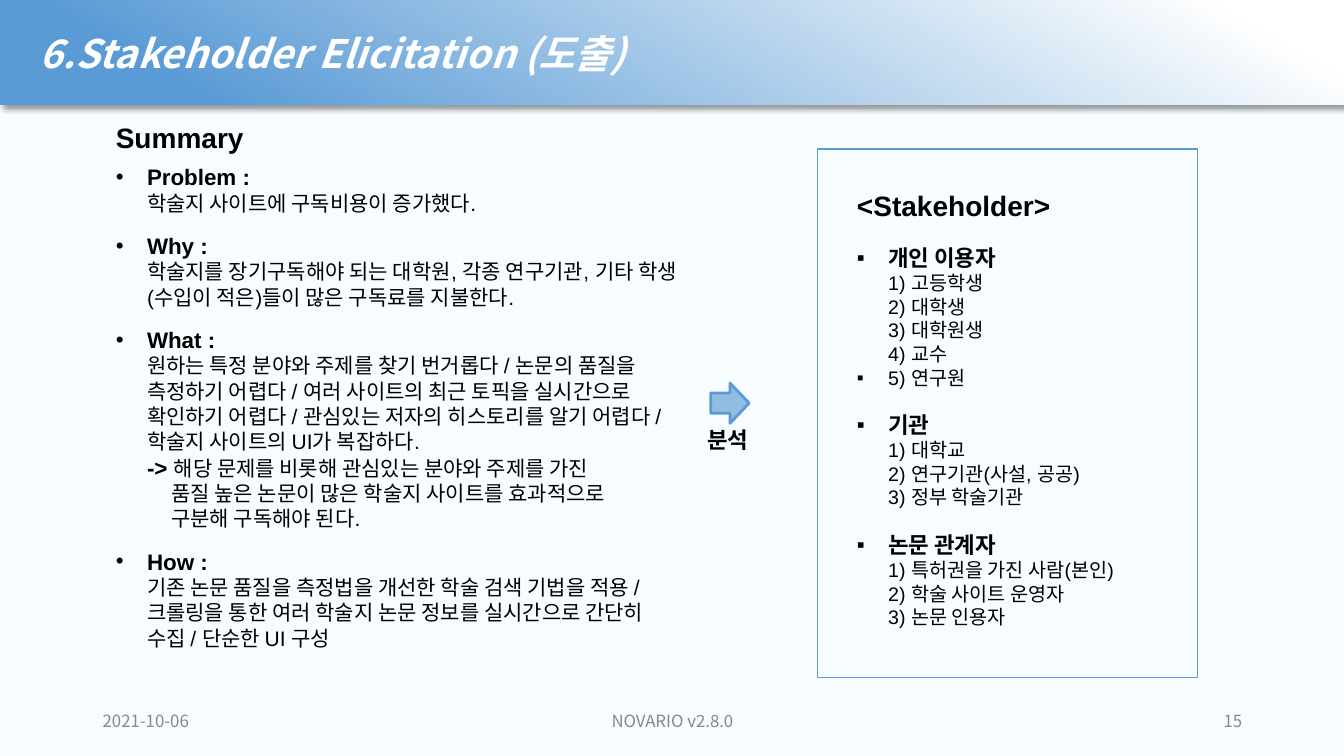
from lxml import etree
from pptx import Presentation
from pptx import util as u
from pptx.dml.color import RGBColor
from pptx.enum import shapes, text
from pptx.oxml import ns

WHITE = RGBColor(0xFF, 0xFF, 0xFF)
BLACK = RGBColor(0, 0, 0)
PALE = RGBColor(0xF7, 0xFC, 0xFF)
BLUE = RGBColor(0x5A, 0x9B, 0xD5)
LIGHT_BLUE = RGBColor(0x92, 0xBD, 0xE3)
GRAY = RGBColor(0x88, 0x88, 0x88)

SANS = "Arial"
KOREAN = "Noto Sans CJK KR"
LEFT, CENTER, RIGHT = text.PP_ALIGN.LEFT, text.PP_ALIGN.CENTER, text.PP_ALIGN.RIGHT
TOP, MIDDLE = text.MSO_ANCHOR.TOP, text.MSO_ANCHOR.MIDDLE
HANG = 31
ARROW_HANG = 24

SUMMARY = [
    ("Problem :", ["학술지 사이트에 구독비용이 증가했다."]),
    ("Why :", ["학술지를 장기구독해야 되는 대학원, 각종 연구기관, 기타 학생(수입이 적은)들이 "
               "많은 구독료를 지불한다."]),
    ("What :", ["원하는 특정 분야와 주제를 찾기 번거롭다 / 논문의 품질을 측정하기 어렵다 / "
                "여러 사이트의 최근 토픽을 실시간으로 확인하기 어렵다 / 관심있는 저자의 "
                "히스토리를 알기 어렵다 / 학술지 사이트의 UI가 복잡하다."]),
    ("How :", ["기존 논문 품질을 측정법을 개선한 학술 검색 기법을 적용 / 크롤링을 통한 여러 "
               "학술지 논문 정보를 실시간으로 간단히 수집 / 단순한 UI 구성"]),
]
CONCLUSION = ["해당 문제를 비롯해 관심있는 분야와 주제를 가진",
              "품질 높은 논문이 많은 학술지 사이트를 효과적으로",
              "구분해 구독해야 된다."]
STAKEHOLDERS = [
    ("개인 이용자", ["1) 고등학생", "2) 대학생", "3) 대학원생", "4) 교수"]),
    ("기관", ["1) 대학교", "2) 연구기관(사설, 공공)", "3) 정부 학술기관"]),
    ("논문 관계자", ["1) 특허권을 가진 사람(본인)", "2) 학술 사이트 운영자", "3) 논문 인용자"]),
]
LAST_USER = "5) 연구원"


def px(length):
    return u.Emu(length * 9144)


class StakeholderSlide:
    def __init__(self, deck):
        self.slide = deck.slides.add_slide(deck.slide_layouts[6])
        self.slide.background.fill.solid()
        self.slide.background.fill.fore_color.rgb = PALE

    def shape(self, kind, box, fill=None, line=None, weight=1):
        item = self.slide.shapes.add_shape(kind, *map(px, box))
        item.shadow.inherit = False
        if fill is None:
            item.fill.background()
        else:
            item.fill.solid()
            item.fill.fore_color.rgb = fill
        if line is None:
            item.line.fill.background()
        else:
            item.line.color.rgb = line
            item.line.width = u.Pt(weight)
        return item

    def banner(self, box):
        """Rectangle fading from white at top right to blue, with a soft shadow."""
        band = self.shape(shapes.MSO_SHAPE.RECTANGLE, box)
        band.fill.gradient()
        band.fill.gradient_angle = 240
        for stop, position, color in zip(band.fill.gradient_stops, (0.08, 0.86), (WHITE, BLUE)):
            stop.position = position
            stop.color.rgb = color
        effects = band._element.spPr.find(ns.qn("a:effectLst"))
        shadow = etree.SubElement(effects, ns.qn("a:outerShdw"), blurRad=str(u.Pt(4)),
                                  dist=str(u.Pt(3)), dir="2700000", algn="tl")
        color = etree.SubElement(shadow, ns.qn("a:srgbClr"), val="000000")
        etree.SubElement(color, ns.qn("a:alpha"), val="40000")
        return band

    def frame(self, item, anchor=TOP, insets=(10, 5, 10, 5)):
        left, top, right, bottom = map(px, insets)
        layout = {"word_wrap": True, "vertical_anchor": anchor, "margin_left": left,
                  "margin_top": top, "margin_right": right, "margin_bottom": bottom}
        for name, value in layout.items():
            setattr(item.text_frame, name, value)
        return item.text_frame

    def text_box(self, box, anchor=TOP):
        return self.frame(self.slide.shapes.add_textbox(*map(px, box)), anchor)

    def paragraph(self, frame, align=LEFT, bullet=None, left=0, hang=0, gap=0):
        first = frame.paragraphs[0]
        para = first if not first.runs else frame.add_paragraph()
        for name, value in {"alignment": align, "space_before": u.Pt(gap)}.items():
            setattr(para, name, value)
        props = para._p.get_or_add_pPr()
        props.set("marL", str(px(left)))
        props.set("indent", str(-px(hang)))
        if bullet:
            color = etree.SubElement(props, ns.qn("a:buClr"))
            etree.SubElement(color, ns.qn("a:srgbClr"), val=str(BLACK))
            etree.SubElement(props, ns.qn("a:buFont"), typeface=SANS)
            etree.SubElement(props, ns.qn("a:buChar"), char=bullet)
        return para

    def add_lines(self, para, lines, size, bold=False, color=BLACK, font=SANS, italic=False):
        """Append the lines to the paragraph, with line breaks between them."""
        style = {"size": u.Pt(size), "bold": bold, "italic": italic, "name": font}
        for number, line in enumerate(lines):
            if number:
                para.add_line_break()
            run = para.add_run()
            run.text = line
            for name, value in style.items():
                setattr(run.font, name, value)
            run.font.color.rgb = color
            latin = run.font._element.find(ns.qn("a:latin"))
            latin.addnext(latin.makeelement(ns.qn("a:ea"), {"typeface": KOREAN}))

    def topic(self, frame, heading, lines, bullet, size, gap):
        para = self.paragraph(frame, bullet=bullet, left=HANG, hang=HANG, gap=gap)
        self.add_lines(para, [heading], 16, bold=True)
        para.add_line_break()
        self.add_lines(para, lines, size)

    def label(self, box, words, size, align=LEFT):
        para = self.paragraph(self.text_box(box), align)
        self.add_lines(para, [words], size, bold=True)

    def footer(self, box, words, align):
        para = self.paragraph(self.text_box(box, MIDDLE), align)
        self.add_lines(para, [words], 12, color=GRAY, font=KOREAN)


def main():
    deck = Presentation()
    deck.slide_width, deck.slide_height = px(1333), px(750)
    page = StakeholderSlide(deck)

    title = page.frame(page.banner((0, 0, 1333, 104)), MIDDLE, (39, 5, 10, 5))
    page.add_lines(page.paragraph(title), ["6.Stakeholder Elicitation (도출)"], 28,
                   bold=True, color=WHITE, font=KOREAN, italic=True)

    page.footer((92, 695, 300, 40), "2021-10-06", LEFT)
    page.footer((442, 695, 450, 40), "NOVARIO v2.8.0", CENTER)
    page.footer((942, 695, 300, 40), "15", RIGHT)

    page.label((105, 115, 251, 44), "Summary", 20)
    summary = page.text_box((105, 157, 578, 523))
    for number, (heading, lines) in enumerate(SUMMARY):
        page.topic(summary, heading, lines, "•", 15, 12 if number else 0)
        if heading == "What :":
            conclusion = page.paragraph(summary, left=HANG + ARROW_HANG, hang=ARROW_HANG)
            page.add_lines(conclusion, ["-> "], 16, bold=True)
            page.add_lines(conclusion, CONCLUSION, 15)

    panel = page.shape(shapes.MSO_SHAPE.RECTANGLE, (811, 148, 377, 524), line=BLUE)
    stakeholders = page.frame(panel, insets=(39, 39, 39, 39))
    page.add_lines(page.paragraph(stakeholders), ["<Stakeholder>"], 20, bold=True)
    for number, (group, members) in enumerate(STAKEHOLDERS):
        page.topic(stakeholders, group, members, "▪", 14, 16)
        if number == 0:
            last_user = page.paragraph(stakeholders, bullet="▪", left=HANG, hang=HANG)
            page.add_lines(last_user, [LAST_USER], 14)

    page.shape(shapes.MSO_SHAPE.RIGHT_ARROW, (705, 380, 38, 40), LIGHT_BLUE, BLUE, 2)
    page.label((686, 418, 72, 37), "분석", 16, CENTER)

    deck.save("out.pptx")


if __name__ == "__main__":
    main()
